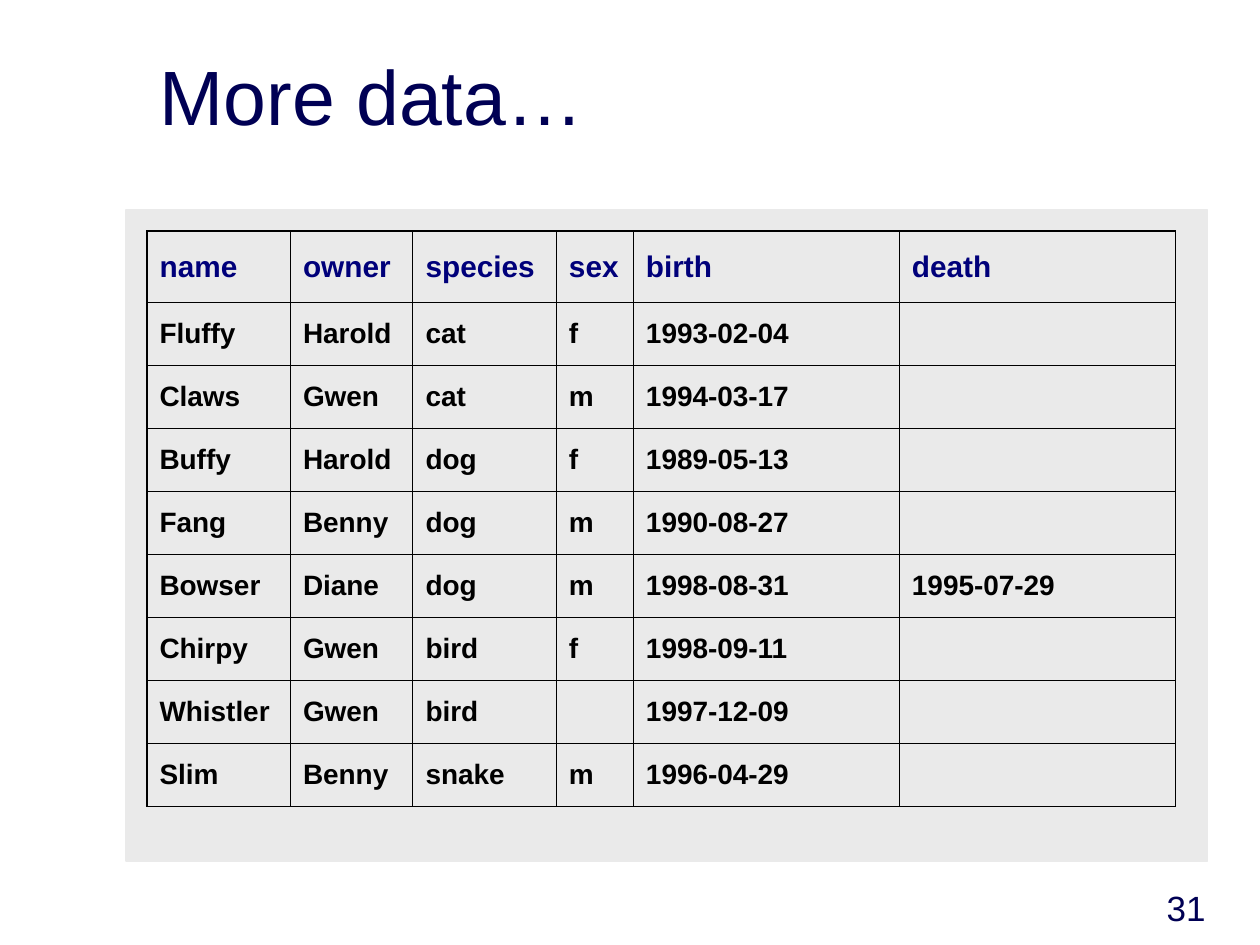
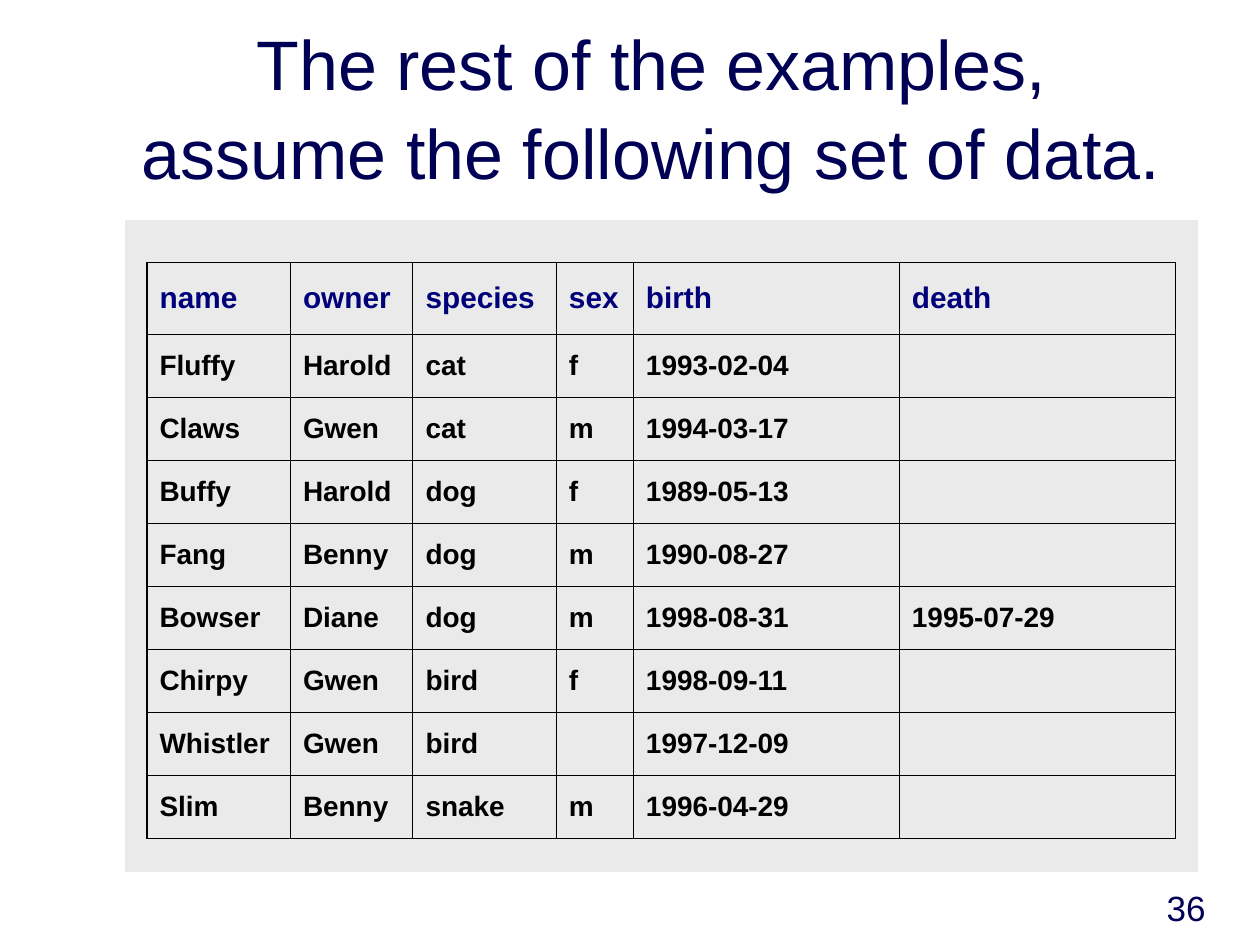
from dataclasses import dataclass

from lxml.etree import SubElement
from pptx import Presentation
from pptx.dml.color import RGBColor
from pptx.enum.shapes import MSO_SHAPE
from pptx.enum.text import MSO_ANCHOR, MSO_AUTO_SIZE, PP_ALIGN
from pptx.oxml.ns import qn
from pptx.util import Pt


@dataclass(frozen=True)
class Theme:
    """Colours, font and type sizes shared by the slides."""
    font: str = "Arial"
    ink: str = "000054"
    head: str = "00007A"
    text: str = "000000"
    panel: str = "EAEAEA"
    rule: str = "000000"
    line: float = 0.75
    page_size: int = 20
    head_size: int = 17
    cell_size: int = 16


THEME = Theme()
TITLE_ONLY = 5
COLS = (82, 70, 82, 44, 152, 158)
HEAD_ROW, BODY_ROW = 41, 36
INDENT = 27
PETS = (
    ("name", "owner", "species", "sex", "birth", "death"),
    ("Fluffy", "Harold", "cat", "f", "1993-02-04", ""),
    ("Claws", "Gwen", "cat", "m", "1994-03-17", ""),
    ("Buffy", "Harold", "dog", "f", "1989-05-13", ""),
    ("Fang", "Benny", "dog", "m", "1990-08-27", ""),
    ("Bowser", "Diane", "dog", "m", "1998-08-31", "1995-07-29"),
    ("Chirpy", "Gwen", "bird", "f", "1998-09-11", ""),
    ("Whistler", "Gwen", "bird", "", "1997-12-09", ""),
    ("Slim", "Benny", "snake", "m", "1996-04-29", ""),
)


def points(*vals):
    """Turn numbers into point lengths."""
    return [Pt(val) for val in vals]


def style(para, size, color, bold=False):
    """Format every run of a paragraph."""
    for run in para.runs:
        font = run.font
        font.name, font.size, font.bold = THEME.font, Pt(size), bold
        font.color.rgb = RGBColor.from_string(color)


def add_title(slide, text, box, size, align):
    """Fill, place and format the title placeholder."""
    title = slide.shapes.title
    title.left, title.top, title.width, title.height = points(*box)
    frame = title.text_frame
    frame.text = text
    frame.word_wrap = True
    frame.auto_size = MSO_AUTO_SIZE.NONE
    frame.vertical_anchor = MSO_ANCHOR.BOTTOM
    para = frame.paragraphs[0]
    para.alignment = align
    para.line_spacing = 1.05
    style(para, size, THEME.ink)


def add_page(slide, num):
    """Write the page number at the lower right."""
    frame = slide.shapes.add_textbox(*points(546, 498, 150, 36)).text_frame
    frame.text = str(num)
    frame.word_wrap = True
    frame.vertical_anchor = MSO_ANCHOR.BOTTOM
    para = frame.paragraphs[0]
    para.alignment = PP_ALIGN.RIGHT
    style(para, THEME.page_size, THEME.ink)


def add_panel(slide, box):
    """Draw the grey panel behind the table."""
    panel = slide.shapes.add_shape(MSO_SHAPE.RECTANGLE, *points(*box))
    panel.shadow.inherit = False
    color = RGBColor.from_string(THEME.panel)
    panel.fill.solid()
    panel.fill.fore_color.rgb = color
    panel.line.color.rgb = color
    panel.line.width = Pt(THEME.line)


def add_rules(cell):
    """Put a thin rule on all four sides of a cell."""
    props = cell._tc.get_or_add_tcPr()
    for side in ("lnL", "lnR", "lnT", "lnB"):
        line = SubElement(props, qn(f"a:{side}"), w=str(Pt(THEME.line)))
        fill = SubElement(line, qn("a:solidFill"))
        SubElement(fill, qn("a:srgbClr"), val=THEME.rule)


def fill_cell(cell, text, size, color):
    """Write one clear, ruled cell with a hanging indent."""
    cell.text = text
    cell.vertical_anchor = MSO_ANCHOR.MIDDLE
    add_rules(cell)
    cell.fill.background()
    para = cell.text_frame.paragraphs[0]
    props = para._p.get_or_add_pPr()
    props.set("marL", str(Pt(INDENT)))
    props.set("indent", str(-Pt(INDENT)))
    style(para, size, color, bold=True)


def add_grid(slide, left, top, data):
    """Build the table, with its first row as heading."""
    high = HEAD_ROW + BODY_ROW * (len(data) - 1)
    box = points(left, top, sum(COLS), high)
    table = slide.shapes.add_table(len(data), len(COLS), *box).table
    table.first_row = table.horz_banding = False
    for col, width in zip(table.columns, COLS):
        col.width = Pt(width)
    for i, (row, words) in enumerate(zip(table.rows, data)):
        row.height = Pt(BODY_ROW if i else HEAD_ROW)
        size = THEME.cell_size if i else THEME.head_size
        color = THEME.text if i else THEME.head
        for cell, word in zip(row.cells, words):
            fill_cell(cell, word, size, color)


def add_slide(deck, num, title, panel, top):
    """Add a slide with title, page number, panel and pet table."""
    slide = deck.slides.add_slide(deck.slide_layouts[TITLE_ONLY])
    add_page(slide, num)
    add_title(slide, *title)
    add_panel(slide, panel)
    add_grid(slide, 84, top, PETS)


def main():
    """Build and save the deck."""
    deck = Presentation()
    deck.slide_width, deck.slide_height = points(720, 540)
    add_slide(deck, 31,
              ("More data…", (84, 18, 612, 66), 44, PP_ALIGN.LEFT),
              (72, 120, 618, 372), 132)
    add_slide(deck, 36,
              ("The rest of the examples, assume the following set of data.",
               (66, 12, 612, 102), 40, PP_ALIGN.CENTER),
              (72, 126, 612, 372), 150)
    deck.save("out.pptx")


main()
